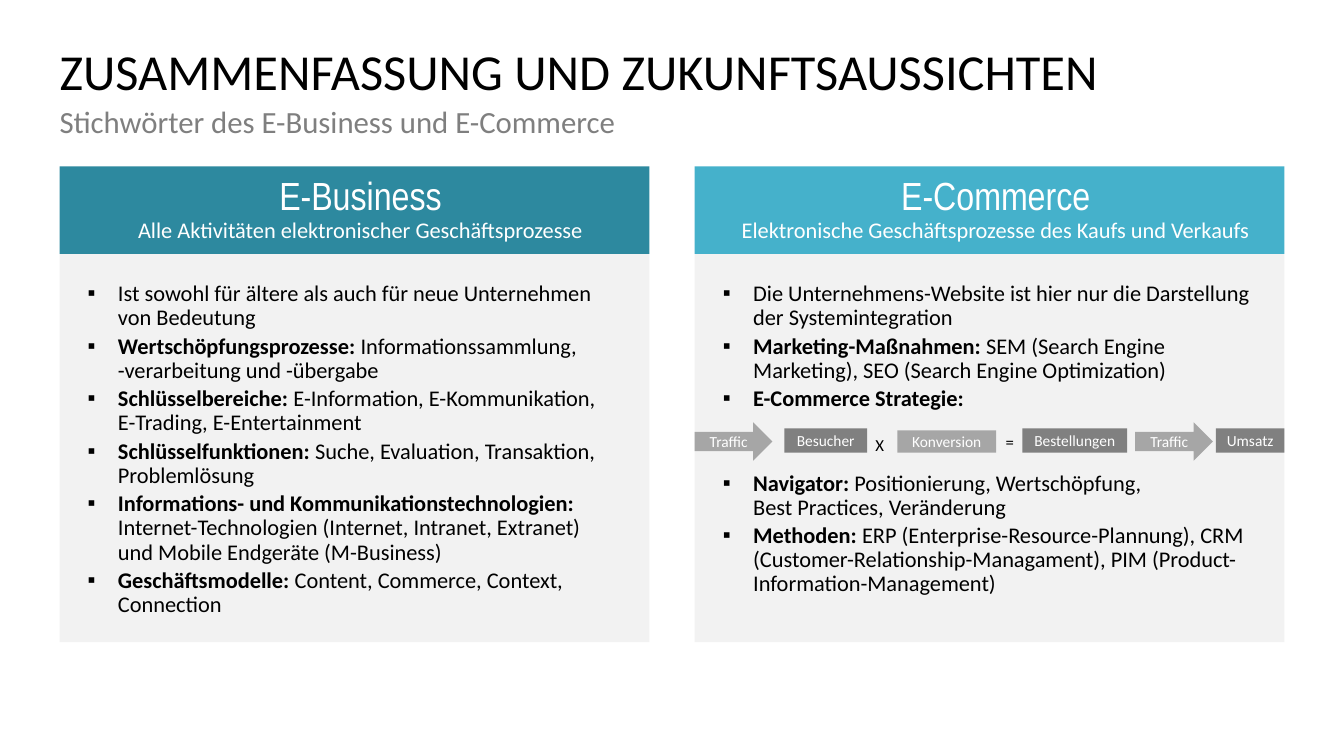
from dataclasses import dataclass

from lxml import etree
from pptx import Presentation
from pptx import util as u
from pptx.dml.color import RGBColor
from pptx.enum import shapes, text
from pptx.oxml import ns


@dataclass(frozen=True)
class Theme:
    body_font: str = "Calibri"
    head_font: str = "Arial Narrow"
    black: str = "000000"
    white: str = "FFFFFF"
    grey: str = "7F7F7F"
    panel: str = "F2F2F2"
    teal: str = "2D899F"
    cyan: str = "45B1CB"
    step_dark: str = "808080"
    step_light: str = "A6A6A6"
    title: int = 36
    subtitle: int = 22
    head: int = 28
    body: int = 16
    sign: int = 12
    step: int = 11


T = Theme()
LEFT, CENTER = text.PP_ALIGN.LEFT, text.PP_ALIGN.CENTER
TOP, MIDDLE = text.MSO_ANCHOR.TOP, text.MSO_ANCHOR.MIDDLE
HEAD_H = 0.87

BUSINESS = [
    ("", "Ist sowohl für ältere als auch für neue Unternehmen von Bedeutung"),
    ("Wertschöpfungsprozesse: ", "Informationssammlung, \n-verarbeitung und -übergabe"),
    ("Schlüsselbereiche: ", "E-Information, E-Kommunikation, \nE-Trading, E-Entertainment"),
    ("Schlüsselfunktionen: ", "Suche, Evaluation, Transaktion, Problemlösung"),
    ("Informations- und Kommunikationstechnologien: ",
     "Internet-Technologien (Internet, Intranet, Extranet) \nund Mobile Endgeräte (M-Business)"),
    ("Geschäftsmodelle: ", "Content, Commerce, Context, Connection"),
]
COMMERCE = [
    ("", "Die Unternehmens-Website ist hier nur die Darstellung der Systemintegration"),
    ("Marketing-Maßnahmen: ", "SEM (Search Engine Marketing), SEO (Search Engine Optimization)"),
    ("E-Commerce Strategie:", ""),
    ("Navigator: ", "Positionierung, Wertschöpfung, \nBest Practices, Veränderung"),
    ("Methoden: ", "ERP (Enterprise-Resource-Plannung), CRM "
     "(Customer-Relationship-Managament), PIM (Product-Information-Management)"),
]
ARROW, RECT = shapes.MSO_SHAPE.RIGHT_ARROW, shapes.MSO_SHAPE.RECTANGLE
STEPS = [
    ("Traffic", ARROW, T.step_light, (0, 0, 0.77, 0.38)),
    ("Besucher", RECT, T.step_dark, (0.89, 0.06, 0.82, 0.24)),
    ("Konversion", RECT, T.step_light, (2.01, 0.08, 0.98, 0.22)),
    ("Bestellungen", RECT, T.step_dark, (3.25, 0.06, 1.04, 0.24)),
    ("Traffic", ARROW, T.step_light, (4.37, 0, 0.77, 0.38)),
    ("Umsatz", RECT, T.step_dark, (5.17, 0.06, 0.68, 0.24)),
]
SIGNS = [("X", (1.71, 0.07, 0.25, 0.3)), ("=", (3, 0.04, 0.25, 0.3))]


def inches(box):
    return [u.Inches(round(v, 2)) for v in box]


def place(s, box):
    s.left, s.top, s.width, s.height = inches(box)


def fill(s, color):
    s.fill.solid()
    s.fill.fore_color.rgb = RGBColor.from_string(color)


def frame(s, insets=(0, 0, 0, 0), anchor=TOP, wrap=True):
    tf = s.text_frame
    tf.auto_size = text.MSO_AUTO_SIZE.NONE
    tf.word_wrap = wrap
    tf.vertical_anchor = anchor
    tf.margin_left, tf.margin_top, tf.margin_right, tf.margin_bottom = inches(insets)
    return tf


def paragraph(tf, first, align=LEFT, spacing=0.9, before=0, after=0):
    p = tf.paragraphs[0] if first else tf.add_paragraph()
    p.alignment = align
    p.line_spacing = spacing
    p.space_before, p.space_after = u.Pt(before), u.Pt(after)
    return p


def add_run(p, words, size, color, bold=False, font=T.body_font):
    for i, line in enumerate(words.split("\n")):
        if i:
            p.add_line_break()
        r = p.add_run()
        r.text = line
        r.font.name, r.font.size, r.font.bold = font, u.Pt(size), bold
        r.font.color.rgb = RGBColor.from_string(color)


def add_bullet(p):
    pPr = p._p.get_or_add_pPr()
    pPr.set("marL", str(u.Inches(0.3)))
    pPr.set("indent", str(-u.Inches(0.3)))
    etree.SubElement(pPr, ns.qn("a:buFont")).set("typeface", "Arial")
    etree.SubElement(pPr, ns.qn("a:buChar")).set("char", "▪")


def heading(slide, box):
    x, y, w, h = box
    title = slide.shapes.title
    place(title, box)
    add_run(paragraph(frame(title), True), "ZUSAMMENFASSUNG UND ZUKUNFTSAUSSICHTEN",
            T.title, T.black)
    subtitle = slide.shapes.add_textbox(*inches((x, y + h / 2, w, h / 2)))
    add_run(paragraph(frame(subtitle), True), "Stichwörter des E-Business und E-Commerce",
            T.subtitle, T.grey)


def column(head, body, box, color, name, claim, items, gap_before=None):
    x, y, w, h = box
    place(head, (x, y, w, HEAD_H))
    fill(head, color)
    tf = frame(head, (0.28, 0, 0.16, 0), MIDDLE)
    add_run(paragraph(tf, True, CENTER), name, T.head, T.white, font=T.head_font)
    add_run(paragraph(tf, False, CENTER), claim, T.body, T.white)

    place(body, (x, y + HEAD_H, w, h - HEAD_H))
    fill(body, T.panel)
    tf = frame(body, (0.28,) * 4)
    for i, (term, words) in enumerate(items):
        p = paragraph(tf, i == 0, before=40 if i == gap_before else 0, after=3)
        add_bullet(p)
        if term:
            add_run(p, term, T.body, T.black, bold=True)
        if words:
            add_run(p, words, T.body, T.black)


def strategy_flow(slide, x, y):
    group = slide.shapes.add_group_shape().shapes
    for label, kind, color, (dx, dy, w, h) in STEPS:
        s = group.add_shape(kind, *inches((x + dx, y + dy, w, h)))
        s.shadow.inherit = False
        fill(s, color)
        s.line.fill.background()
        p = paragraph(frame(s, anchor=MIDDLE, wrap=False), True, CENTER, 1.0)
        add_run(p, label, T.step, T.white)
    for sign, (dx, dy, w, h) in SIGNS:
        s = group.add_textbox(*inches((x + dx, y + dy, w, h)))
        p = paragraph(frame(s, anchor=MIDDLE), True, CENTER, 1.0)
        add_run(p, sign, T.sign, T.black)


def main():
    prs = Presentation()
    prs.slide_width, prs.slide_height = u.Inches(13.33), u.Inches(7.5)
    slide = prs.slides.add_slide(prs.slide_layouts[4])
    ph = slide.placeholders
    heading(slide, (0.59, 0.47, 12.15, 1.18))
    column(ph[1], ph[2], (0.59, 1.65, 5.85, 4.72), T.teal, "E-Business",
           "Alle Aktivitäten elektronischer Geschäftsprozesse", BUSINESS)
    column(ph[3], ph[4], (6.89, 1.65, 5.85, 4.72), T.cyan, "E-Commerce",
           "Elektronische Geschäftsprozesse des Kaufs und Verkaufs", COMMERCE, gap_before=3)
    strategy_flow(slide, 6.89, 4.19)
    prs.save("out.pptx")


if __name__ == "__main__":
    main()
